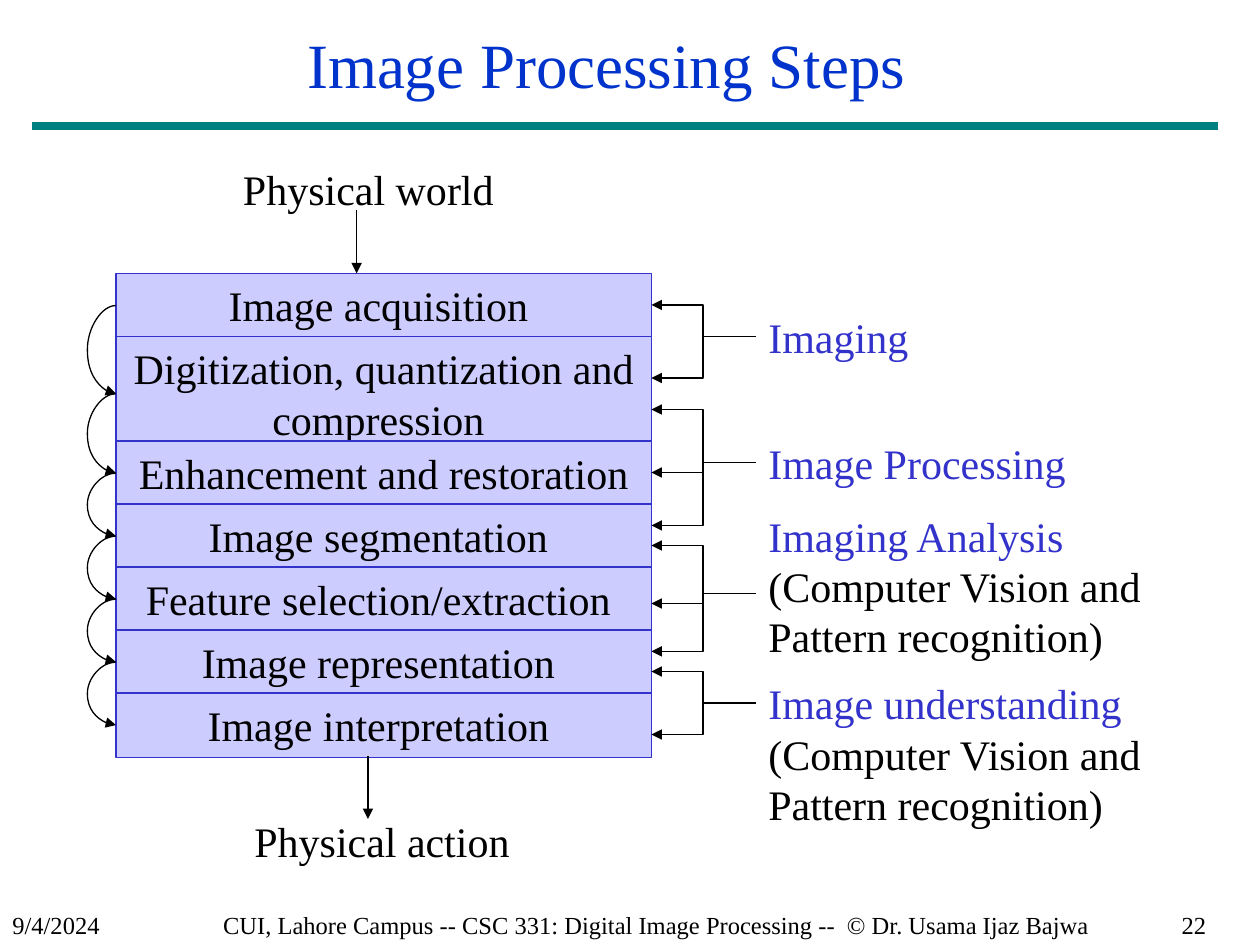
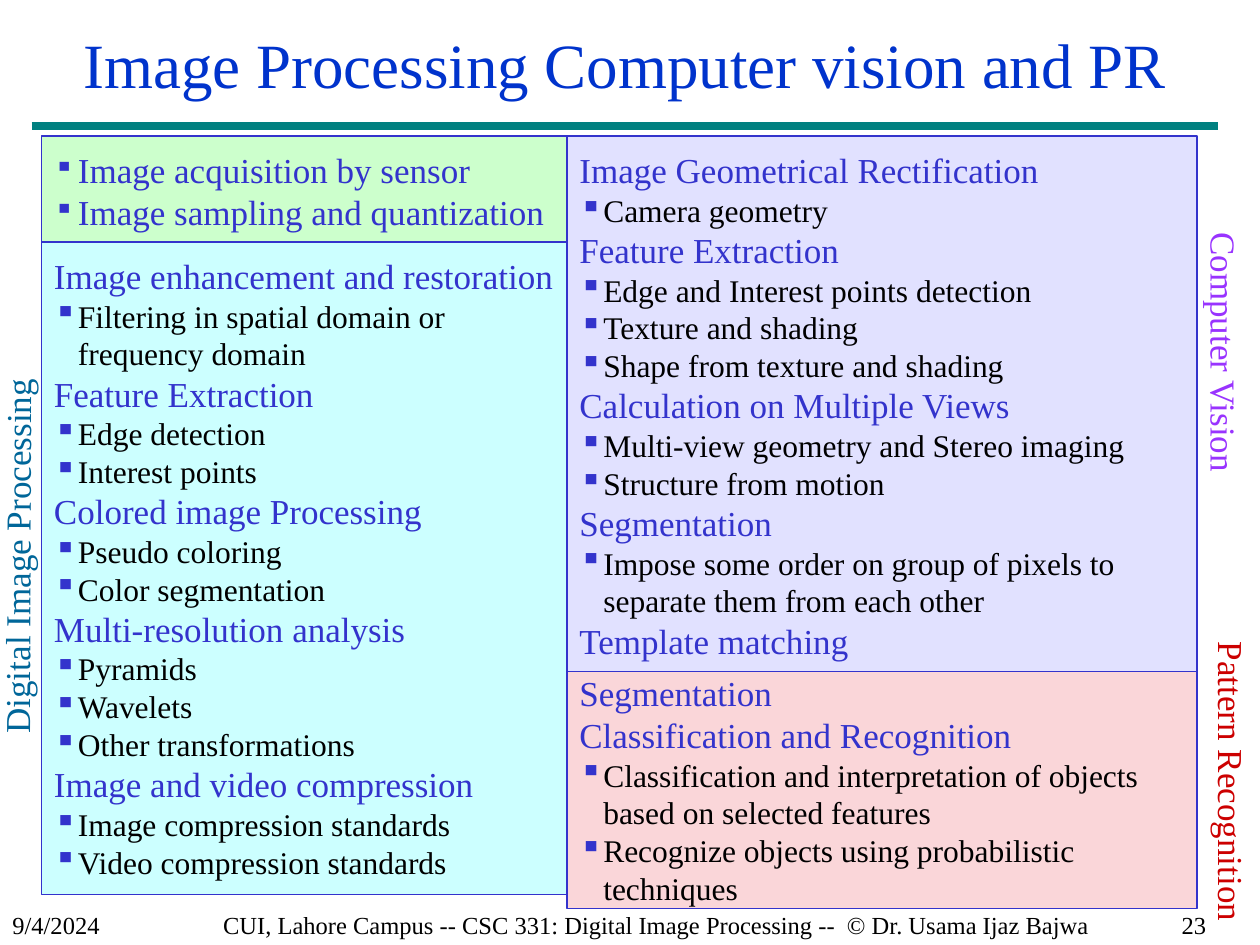
"""Builds two slides on the steps and fields of image processing."""
from lxml.etree import SubElement
from pptx import Presentation
from pptx.dml.color import RGBColor as Rgb
from pptx.enum.shapes import MSO_CONNECTOR as Link, MSO_SHAPE as Form
from pptx.enum.text import MSO_ANCHOR as Anchor, PP_ALIGN as Align
from pptx.oxml.ns import qn
from pptx.util import Emu, Inches, Pt

FONT = "Times New Roman"
HUES = {
    "black": "000000", "title": "0033CC", "rule": "008080", "blue": "3333CC",
    "row": "CCCCFF", "green": "CCFFCC", "cyan": "CCFFFF", "mauve": "E1E1FF",
    "pink": "FAD6D9", "teal": "006699", "violet": "9933FF", "red": "CC0000",
}
DATE = "9/4/2024"
NOTE = "CUI, Lahore Campus -- CSC 331: Digital Image Processing --  © Dr. Usama Ijaz Bajwa"

STEPS = [
    "Image acquisition ",
    "Digitization, quantization and compression ",
    "Enhancement and restoration",
    "Image segmentation ",
    "Feature selection/extraction ",
    "Image representation ",
    "Image interpretation ",
]
VISION = " (Computer Vision and Pattern recognition)"
# label, extra, label top, label width, bracket top, bottom, stem, middle arrow
FIELDS = [
    ("Imaging", "", 2.42, 2.75, 2.42, 3, 2.67, None),
    ("Image Processing", "", 3.42, 2.75, 3.25, 4.17, 3.67, 3.75),
    ("Imaging Analysis", VISION, 4, 3.42, 4.33, 5.17, 4.71, 4.79),
    ("Image understanding", VISION, 5.33, 3.33, 5.33, 5.83, 5.58, None),
]
ENDS = [
    ("Physical world", 1.83, 1.25, 2.83, 1.67),
    ("Physical action", 1.92, 6.42, 2.92, 6),
]

SENSE = [("", ["Image acquisition by sensor", "Image sampling and quantization"])]
VIEWS = [
    ("Image Geometrical Rectification", ["Camera geometry"]),
    ("Feature Extraction", [
        "Edge and Interest points detection",
        "Texture and shading",
        "Shape from texture and shading",
    ]),
    ("Calculation on Multiple Views", [
        "Multi-view geometry and Stereo imaging",
        "Structure from motion",
    ]),
    ("Segmentation", [
        "Impose some order on group of pixels to separate them from each other",
    ]),
    ("Template matching", []),
]
PIXELS = [
    ("Image enhancement and restoration", [
        "Filtering in spatial domain or frequency domain",
    ]),
    ("Feature Extraction", ["Edge detection", "Interest points"]),
    ("Colored image Processing", ["Pseudo coloring", "Color segmentation"]),
    ("Multi-resolution analysis", ["Pyramids", "Wavelets", "Other transformations"]),
    ("Image and video compression", [
        "Image compression standards",
        "Video compression standards",
    ]),
]
CLASSES = [
    ("Segmentation", []),
    ("Classification and Recognition", [
        "Classification and interpretation of objects based on selected features",
        "Recognize objects using probabilistic techniques",
    ]),
]
PANELS = [
    (SENSE, "green", (0.33, 1.08, 4.17, 0.88), 0.1, (20, "blue", 80)),
    (VIEWS, "mauve", (4.5, 1.08, 5, 4.28), 0.1, (18, "black", 100)),
    (PIXELS, "cyan", (0.33, 1.92, 4.17, 5.18), 0.1, (18, "black", 100)),
    (CLASSES, "pink", (4.5, 5.33, 5, 1.88), 0, (18, "black", 100)),
]
SIDES = [
    ("Digital Image Processing", "teal", (-2.45, 3.12, 5.17, 0.43), 270.2),
    ("Computer Vision", "violet", (8.47, 2.78, 2.5, 0.43), 90),
    ("Pattern Recognition", "red", (8.53, 6.03, 2.5, 0.43), 90),
]


def tint(name):
    return Rgb.from_string(HUES[name])


def write(para, text, size=24, hue="black", align=Align.LEFT):
    para.alignment = align
    run = para.add_run()
    run.text = text
    run.font.name, run.font.size = FONT, Pt(size)
    run.font.color.rgb = tint(hue)


def label(slide, text, spot, turn=0, anchor=Anchor.TOP, **style):
    box = slide.shapes.add_textbox(*map(Inches, spot))
    box.rotation = turn
    box.text_frame.word_wrap = True
    box.text_frame.vertical_anchor = anchor
    para = box.text_frame.paragraphs[0]
    write(para, text, **style)
    return para


def block(slide, spot, hue):
    box = slide.shapes.add_shape(Form.RECTANGLE, *map(Inches, spot))
    box.shadow.inherit = False
    box.fill.solid()
    box.fill.fore_color.rgb = tint(hue)
    stroke(box, "blue")
    box.text_frame.word_wrap = True
    box.text_frame.vertical_anchor = Anchor.TOP
    return box


def stroke(shape, hue="black", width=0.75, tips=()):
    shape.line.color.rgb = tint(hue)
    shape.line.width = Pt(width)
    for tip in tips:
        SubElement(shape.line._get_or_add_ln(), qn(f"a:{tip}"), type="triangle")


def wire(slide, start, end, kind=Link.STRAIGHT, **style):
    line = slide.shapes.add_connector(kind, *map(Inches, start + end))
    stroke(line, **style)
    SubElement(line._element.spPr, qn("a:effectLst"))
    return line


def loop(slide, x, top, low):
    thin, bulge = 1588, 0.25
    line = wire(slide, (x + thin / Inches(1), low), (x, top), Link.CURVE,
                tips=["tailEnd"])
    line.width = Emu(thin)
    props = line._element.spPr
    props.find(qn("a:xfrm")).set("rot", "10800000")
    shape = props.find(qn("a:prstGeom"))
    guides = shape.find(qn("a:avLst"))
    if guides is None:
        guides = SubElement(shape, qn("a:avLst"))
    ratio = -round(Inches(bulge) / thin * 100000)
    SubElement(guides, qn("a:gd"), name="adj1", fmla=f"val {ratio}")


def fork(slide, left, right, top, low):
    pen = slide.shapes.build_freeform(Inches(left), Inches(top))
    turns = [(right, top), (right, low), (left, low)]
    pen.add_line_segments([(Inches(x), Inches(y)) for x, y in turns], close=False)
    shape = pen.convert_to_shape()
    shape.shadow.inherit = False
    shape.fill.background()
    stroke(shape, tips=["headEnd", "tailEnd"])


def mark(para, bullet):
    props = para._p.get_or_add_pPr()
    props.set("marL", str(Inches(0.19)))
    props.set("indent", str(-Inches(0.19)))
    if bullet:
        color = SubElement(props, qn("a:buClr"))
        SubElement(color, qn("a:srgbClr"), val=HUES["blue"])
        SubElement(props, qn("a:buSzPct"), val=str(bullet * 1000))
        SubElement(props, qn("a:buChar"), char="▪")
    else:
        SubElement(props, qn("a:buNone"))


def start(deck, title, spot, number):
    slide = deck.slides.add_slide(deck.slide_layouts[6])
    wire(slide, (0.25, 1), (9.67, 1), hue="rule", width=5)
    label(slide, DATE, (0, 7.17, 1.17, 0.33), size=14)
    label(slide, NOTE, (1.17, 7.17, 8.08, 0.33), size=14, align=Align.CENTER)
    label(slide, number, (9.25, 7.17, 0.42, 0.33), size=14, align=Align.RIGHT)
    label(slide, title, spot, anchor=Anchor.MIDDLE, size=36, hue="title",
          align=Align.CENTER)
    return slide


def draw_steps(deck):
    slide = start(deck, "Image Processing Steps ", (0, 0, 9.75, 1), "22")
    left, wide, top, mids = 0.92, 4.25, 2.17, []
    for step in STEPS:
        tall = len(step) > 40
        high = 0.91 if tall else 0.51
        box = block(slide, (left, top, wide, high), "row")
        write(box.text_frame.paragraphs[0], step, align=Align.CENTER)
        mids.append(top + high / 2)
        top += 0.83 if tall else 0.5
    for pair in zip(mids, mids[1:]):
        loop(slide, left, *pair)
    edge, spine, stop = left + wide, 5.58, 6
    for name, extra, y, width, high, low, stem, mid in FIELDS:
        para = label(slide, name, (stop, y, width, 1.3 if extra else 0.5), hue="blue")
        if extra:
            write(para, extra)
        fork(slide, edge, spine, high, low)
        wire(slide, (spine, stem), (stop, stem))
        if mid:
            wire(slide, (spine, mid), (edge, mid), tips=["tailEnd"])
    for text, x, y, shaft, high in ENDS:
        label(slide, text, (x, y, 2.25, 0.5))
        wire(slide, (shaft, high), (shaft, high + 0.5), tips=["tailEnd"])


def draw_fields(deck):
    slide = start(deck, "Image Processing Computer vision and PR",
                  (0.25, 0, 9.42, 1), "23")
    for groups, fill, spot, inset, (size, hue, bullet) in PANELS:
        frame = block(slide, spot, fill).text_frame
        frame.margin_top = frame.margin_bottom = Inches(inset)
        lines = []
        for head, items in groups:
            if head:
                lines.append((head, 20, "blue", 0))
            lines += [(item, size, hue, bullet) for item in items]
        for spot_no, (text, points, ink, dot) in enumerate(lines):
            para = frame.add_paragraph() if spot_no else frame.paragraphs[0]
            mark(para, dot)
            write(para, text, size=points, hue=ink)
    for text, hue, spot, turn in SIDES:
        label(slide, text, spot, turn, size=20, hue=hue)


def main():
    deck = Presentation()
    deck.slide_width, deck.slide_height = Inches(10), Inches(7.5)
    draw_steps(deck)
    draw_fields(deck)
    deck.save("out.pptx")


if __name__ == "__main__":
    main()
